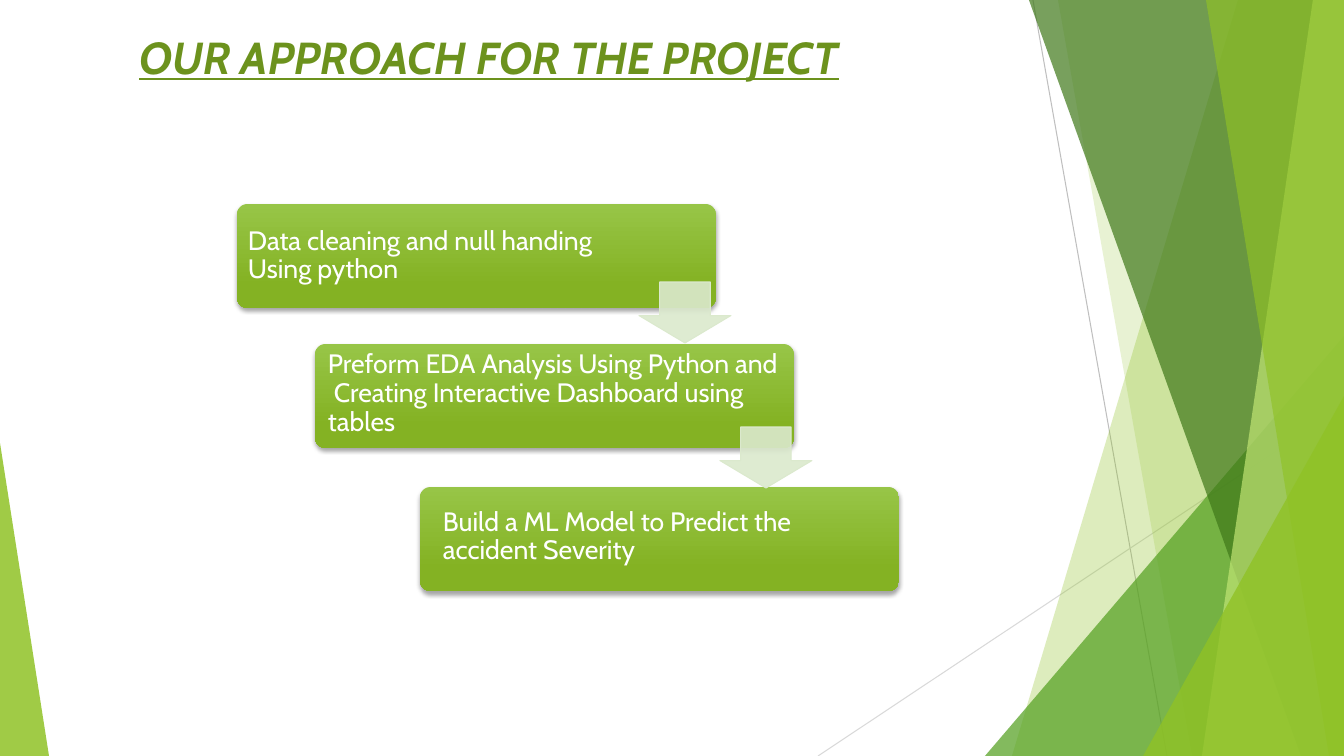
"""Build the project approach slide: three descending steps beside green facets."""
from lxml import etree
from pptx import Presentation
from pptx.dml.color import RGBColor
from pptx.enum.shapes import MSO_CONNECTOR, MSO_SHAPE
from pptx.enum.text import MSO_ANCHOR, MSO_AUTO_SIZE, PP_ALIGN
from pptx.oxml.ns import qn
from pptx.util import Pt

W, H = 1344, 756
SCALE = 914400 / 100.8


def style(sp, color=None, alpha=100, line=None, shadow=False):
    """Give a shape or connector its fill, outline and shadow."""
    effects = etree.SubElement(sp._element.spPr, qn("a:effectLst"))
    if shadow:
        outer = etree.SubElement(effects, qn("a:outerShdw"), blurRad="38100",
                                 dist="25400", dir="5400000", rotWithShape="0")
        black = etree.SubElement(outer, qn("a:srgbClr"), val="000000")
        etree.SubElement(black, qn("a:alpha"), val="35000")
    if color:
        sp.fill.solid()
        sp.fill.fore_color.rgb = RGBColor.from_string(color)
        clr = sp._element.spPr.find(qn("a:solidFill"))[0]
        etree.SubElement(clr, qn("a:alpha"), val=str(alpha * 1000))
    if line:
        sp.line.color.rgb = RGBColor.from_string(line)
        sp.line.width = Pt(0.75)
    else:
        sp.line.fill.background()


def write(tf, text, size, color, margin=8, spacing=0.9, **fmt):
    """Write one left-aligned, vertically centred paragraph."""
    tf.word_wrap = True
    tf.auto_size = MSO_AUTO_SIZE.NONE
    tf.vertical_anchor = MSO_ANCHOR.MIDDLE
    tf.margin_left = tf.margin_right = round(margin * SCALE)
    tf.margin_top = tf.margin_bottom = round(5 * SCALE)
    p = tf.paragraphs[0]
    p.text = text
    p.alignment = PP_ALIGN.LEFT
    p.line_spacing = spacing
    for r in p.runs:
        r.font.name, r.font.size = "Cabin", Pt(size)
        r.font.color.rgb = RGBColor.from_string(color)
        for key, value in fmt.items():
            setattr(r.font, key, value)


prs = Presentation()
prs.slide_width, prs.slide_height = round(W * SCALE), round(H * SCALE)
s = prs.slides.add_slide(prs.slide_layouts[5])
for ph in list(s.placeholders):
    if ph != s.shapes.title:
        ph._element.getparent().remove(ph._element)

rays = [((1033, 0, 1167, H), "BFBFBF"), ((W, 406, 818, H), "D9D9D9")]
for ends, color in rays:
    ray = s.shapes.add_connector(MSO_CONNECTOR.STRAIGHT, *[round(v * SCALE) for v in ends])
    style(ray, line=color)

bands = [
    ("band", (1238, 1012), "90C226", 30),
    ("band", (1058, 1192), "90C226", 20),
    ("triangle", (985, 336, 359, 420, 1), "54A021", 72),
    ("band", (1029, 1301), "3F7819", 70),
    ("band", (1313, 1202), "C0E474", 70),
    ("band", (1206, 1329), "90C226", 65),
    ("triangle", (1143, 396, 201, 360, 1), "90C226", 80),
    ("triangle", (0, 443, 49, 313, 0), "90C226", 85),
]
for kind, geom, color, alpha in bands:
    if kind == "band":
        top, bottom = geom
        fb = s.shapes.build_freeform(top, 0, scale=SCALE)
        fb.add_line_segments([(W, 0), (W, H), (bottom, H)], close=True)
        sp = fb.convert_to_shape()
    else:
        *box, apex = geom
        sp = s.shapes.add_shape(MSO_SHAPE.ISOSCELES_TRIANGLE, *[round(v * SCALE) for v in box])
        sp.adjustments[0] = apex
    style(sp, color, alpha)

title = s.shapes.title
title.left, title.top, title.width, title.height = [round(v * SCALE) for v in (129, 24, 792, 65)]
write(title.text_frame, "OUR APPROACH FOR THE PROJECT", 32, "6C921D", margin=10,
      spacing=1.0, bold=True, italic=True, underline=True)

steps = [
    ((237, 204), (240, 207, 389), "Data cleaning and null handing Using python"),
    ((315, 344), (320, 345, 468),
     "Preform EDA Analysis Using Python and\v Creating Interactive Dashboard using tables"),
    ((420, 487), (435, 488, 389), "Build a ML Model to Predict the accident Severity"),
]
for (x, y), (left, top, width), text in steps:
    card = s.shapes.add_shape(MSO_SHAPE.ROUNDED_RECTANGLE,
                              *[round(v * SCALE) for v in (x, y, 479, 104)])
    card.adjustments[0] = 0.1
    card.fill.gradient()
    card.fill.gradient_angle = 270
    for stop, position, color in zip(card.fill.gradient_stops, (0, 0.78), ("97C547", "84B223")):
        stop.position = position
        stop.color.rgb = RGBColor.from_string(color)
    style(card, shadow=True)
    label = s.shapes.add_textbox(*[round(v * SCALE) for v in (left, top, width, 98)])
    write(label.text_frame, text, 19, "FFFFFF")

for x, y in [(639, 282), (720, 427)]:
    arrow = s.shapes.add_shape(MSO_SHAPE.DOWN_ARROW,
                               *[round(v * SCALE) for v in (x, y, 92, 61)])
    arrow.adjustments[0], arrow.adjustments[1] = 0.55, 0.45
    style(arrow, "DBE9CD", 90, line="DBE9CD")

prs.save("out.pptx")
